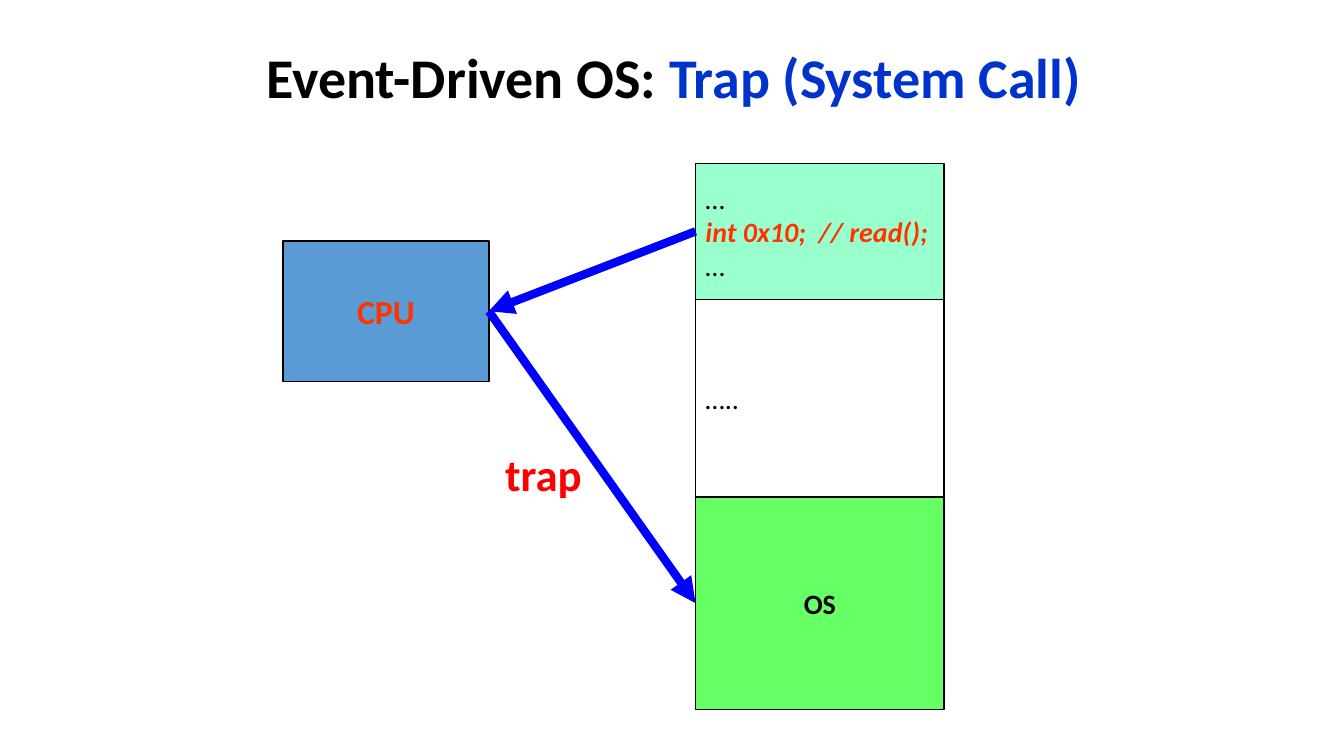
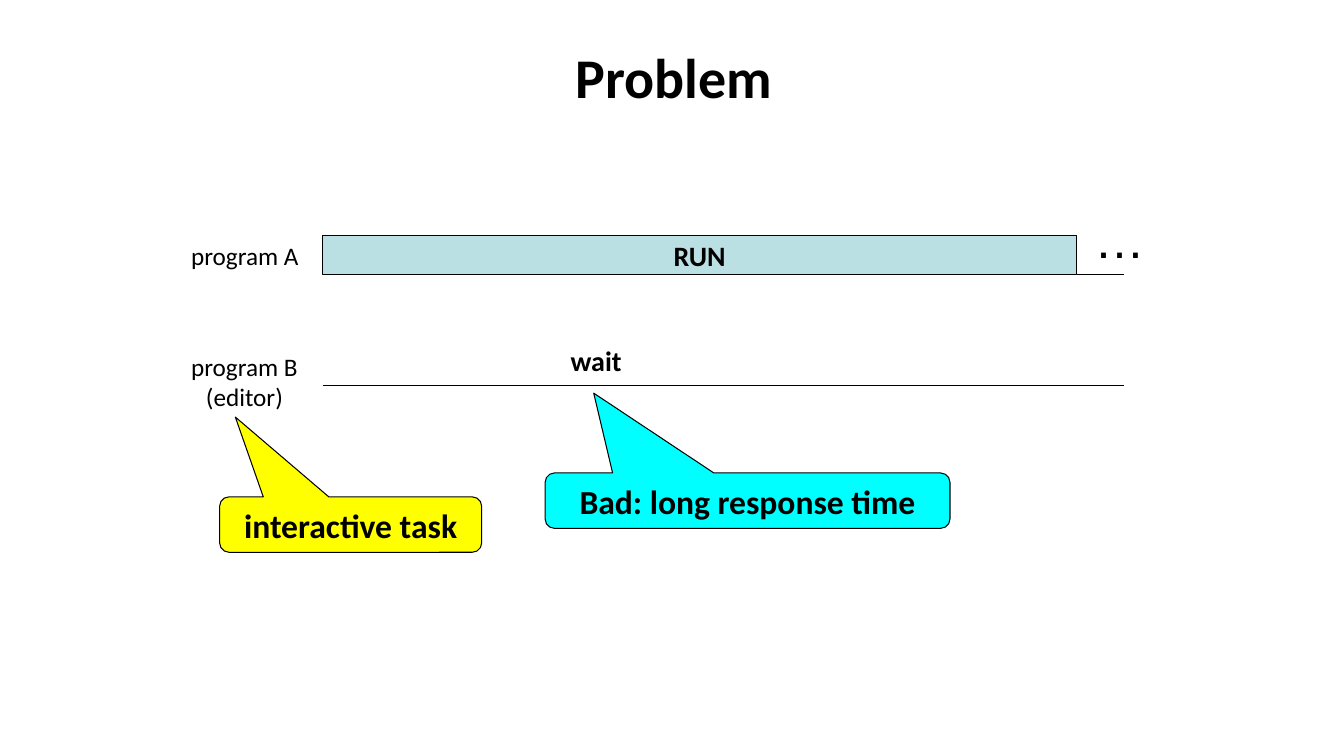
from pptx import Presentation, util as u
from pptx.dml.color import RGBColor
from pptx.enum import shapes as sh, text as tx
from pptx.oxml.ns import qn
from lxml import etree

# Grid: 160 columns by 90 rows
WIDE, HIGH = u.Inches(13.333), u.Inches(7.5)
COLS, ROWS = 160, 90
FONT = "Calibri"
HUE = {
    "black": "000000", "title": "0033CC", "code": "FF3300", "red": "FF0000",
    "arrow": "0000FF", "mint": "99FFCC", "green": "66FF66", "blue": "5B9BD5",
    "pale": "BBE0E3", "yellow": "FFFF00", "cyan": "00FFFF",
}
LEFT, MID = tx.PP_ALIGN.LEFT, tx.PP_ALIGN.CENTER
TOP, CENTER = tx.MSO_ANCHOR.TOP, tx.MSO_ANCHOR.MIDDLE


def hue(name):
    return RGBColor.from_string(HUE[name])


def col(n):
    return u.Emu(round(WIDE * n / COLS))


def row(n):
    return u.Emu(round(HIGH * n / ROWS))


def place(x, y, w, h):
    return col(x), row(y), col(w), row(h)


def style(font, size, color="black", bold=False, italic=False, face=FONT):
    font.name, font.size = face, u.Pt(size)
    font.bold, font.italic = bold, italic
    font.color.rgb = hue(color)


def write(shape, lines, size, align=MID, anchor=CENTER, wrap=False, **look):
    """Fill a shape; a line is a string or (string, changes of look)."""
    frame = shape.text_frame
    frame.word_wrap, frame.vertical_anchor = wrap, anchor
    for i, line in enumerate(lines):
        words, extra = (line, {}) if isinstance(line, str) else line
        para = frame.paragraphs[0] if i == 0 else frame.add_paragraph()
        para.alignment = align
        style(para.font, size, **{**look, **extra})
        para.add_run().text = words
    return frame


def label(slide, area, lines, size, **look):
    box = slide.shapes.add_textbox(*place(*area))
    return write(box, lines, size, **{"anchor": TOP, **look})


def title(slide, words, accent=None):
    frame = label(slide, (8.2, 1.6, 144, 15), [words], 40,
                  anchor=CENTER, wrap=True, bold=True)
    if accent:
        run = frame.paragraphs[0].add_run()
        run.text = accent
        run.font.color.rgb = hue("title")


def box(slide, area, fill, lines, size, edge=1.0,
        kind=sh.MSO_SHAPE.RECTANGLE, **look):
    shape = slide.shapes.add_shape(kind, *place(*area))
    shape.shadow.inherit = False
    if fill:
        shape.fill.solid()
        shape.fill.fore_color.rgb = hue(fill)
    else:
        shape.fill.background()
    shape.line.color.rgb, shape.line.width = hue("black"), u.Pt(edge)
    write(shape, lines, size, **look)
    return shape


def callout(slide, area, fill, words, tip):
    shape = box(slide, area, fill, [words], 24, edge=0.75,
                kind=sh.MSO_SHAPE.ROUNDED_RECTANGULAR_CALLOUT,
                anchor=TOP, wrap=True, bold=True)
    for i, value in enumerate((*tip, 0.17)):
        shape.adjustments[i] = value


def line(slide, ends, color, width):
    x1, y1, x2, y2 = ends
    link = slide.shapes.add_connector(sh.MSO_CONNECTOR.STRAIGHT,
                                      col(x1), row(y1), col(x2), row(y2))
    link.line.color.rgb, link.line.width = hue(color), u.Pt(width)
    etree.SubElement(link._element.spPr, qn("a:effectLst"))
    return link


def arrow(slide, start, side, end, stop):
    link = line(slide, (0, 0, 1, 1), "arrow", 6)
    link.begin_connect(start, side)
    link.end_connect(end, stop)
    tail = etree.SubElement(link.line._get_or_add_ln(), qn("a:tailEnd"))
    tail.set("type", "triangle")


def trap(slide):
    title(slide, "Event-Driven OS: ", "Trap (System Call)")
    # Memory column, stacked downwards
    code = ["…", ("int 0x10;  // read();",
                  dict(color="code", bold=True, italic=True)), "…"]
    parts = [
        (16.2, "mint", code, dict(align=LEFT)),
        (23.5, None, ["….."], dict(align=LEFT)),
        (25.3, "green", ["OS"], dict(bold=True)),
    ]
    top, stack = 19.45, []
    for high, fill, lines, look in parts:
        stack.append(box(slide, (82.8, top, 29.6, high), fill, lines, 20, **look))
        top += high
    # Processor and flow of control
    cpu = box(slide, (33.7, 28.7, 24.5, 16.7), "blue", ["CPU"], 24,
              color="code", bold=True)
    arrow(slide, stack[0], 1, cpu, 3)
    arrow(slide, cpu, 3, stack[2], 1)
    label(slide, (58.9, 52.6, 11.6, 7.7), ["trap"], 32, color="red", bold=True)


def problem(slide):
    title(slide, "Problem")
    # Time lines
    for y in (32.7, 45.9):
        line(slide, (38.4, y, 133.8, y), "black", 1)
    box(slide, (38.4, 28, 89.8, 4.7), "pale", ["RUN"], 20, edge=0.75, bold=True)
    label(slide, (21.4, 28, 15.5, 4.8), ["program A"], 18)
    label(slide, (21.4, 41.25, 15.4, 8.4), ["program B", "(editor)"], 18)
    label(slide, (66.75, 40.3, 8.5, 5.2), ["wait"], 20, align=LEFT, bold=True)
    label(slide, (129.1, 24.2, 8.5, 8.5), ["…"], 36, align=LEFT, face="Arial")
    # Remarks
    callout(slide, (26.15, 59.15, 31.2, 6.6), "yellow", "interactive task",
            (-0.44, -1.94))
    callout(slide, (64.9, 56.3, 48.2, 6.6), "cyan", "Bad: long response time",
            (-0.38, -1.94))


def main():
    deck = Presentation()
    deck.slide_width, deck.slide_height = WIDE, HIGH
    for draw in (trap, problem):
        draw(deck.slides.add_slide(deck.slide_layouts[6]))
    deck.save("out.pptx")


if __name__ == "__main__":
    main()
